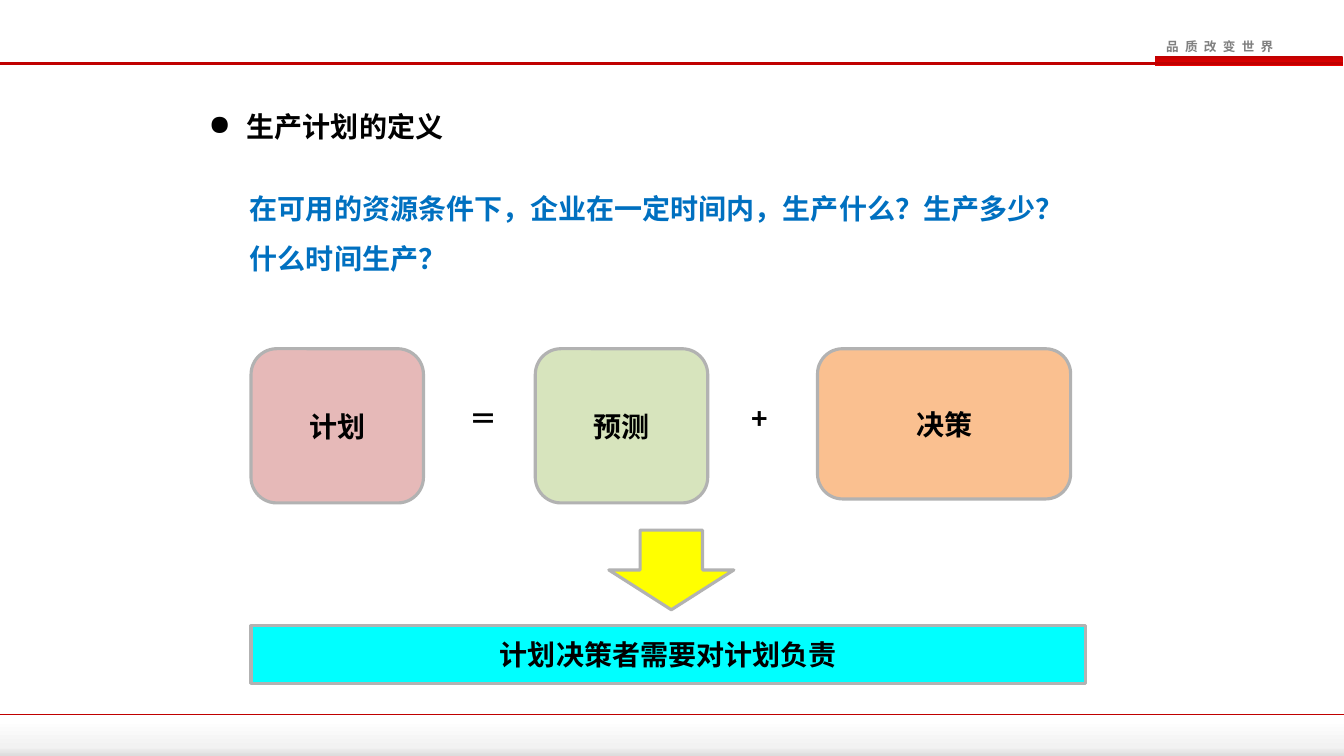
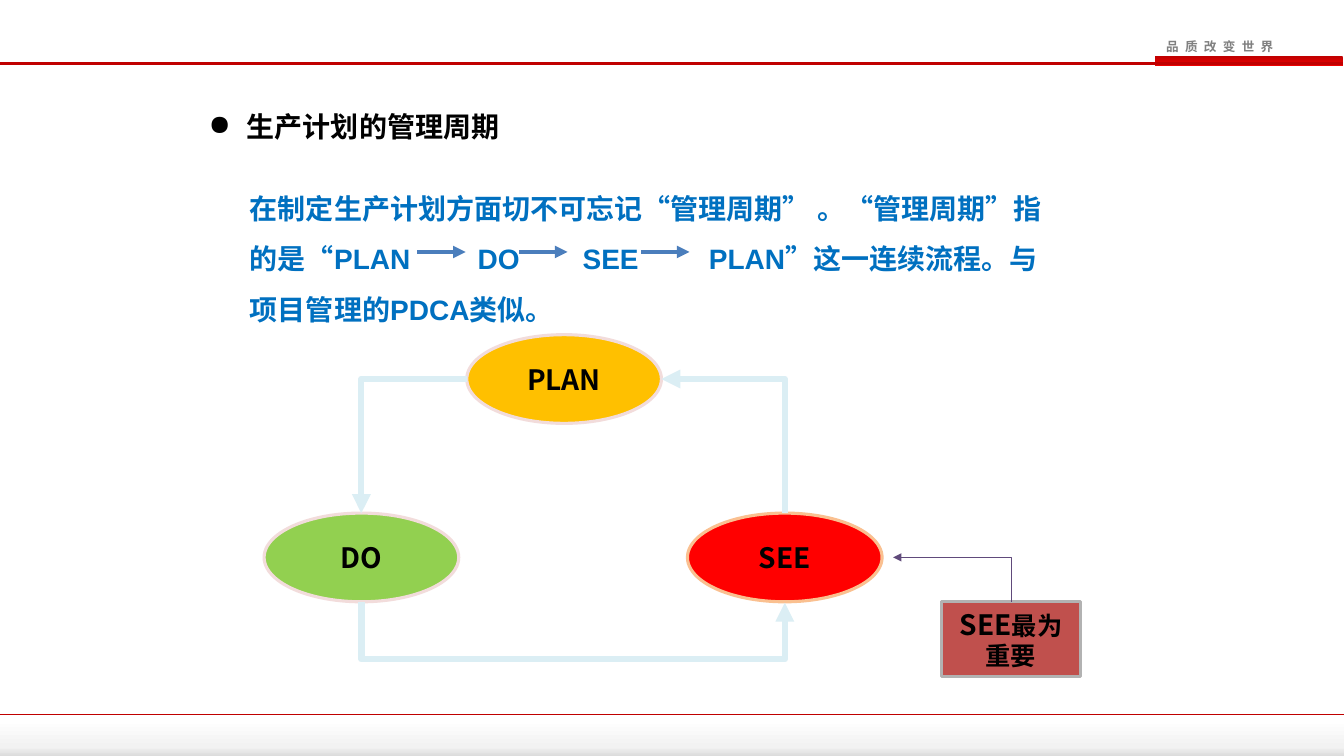
from dataclasses import dataclass

from lxml.etree import SubElement
from pptx import Presentation
from pptx.dml.color import RGBColor
from pptx.enum.shapes import MSO_CONNECTOR, MSO_SHAPE
from pptx.enum.text import MSO_ANCHOR, PP_ALIGN
from pptx.oxml.ns import qn
from pptx.shapes.autoshape import Shape
from pptx.shapes.connector import Connector
from pptx.slide import Slide
from pptx.text.text import _Paragraph as Paragraph
from pptx.util import Inches, Pt

SLIDE_WIDTH, SLIDE_HEIGHT = Inches(13.33), Inches(7.5)
LATIN_FONT, CHINESE_FONT = "Arial", "Noto Sans CJK SC"

# Colours
BLACK = RGBColor(0x00, 0x00, 0x00)
WHITE = RGBColor(0xFF, 0xFF, 0xFF)
PALE_GRAY = RGBColor(0xF2, 0xF2, 0xF2)
LIGHT_GRAY = RGBColor(0xDC, 0xDC, 0xDC)
BORDER_GRAY = RGBColor(0xB2, 0xB2, 0xB2)
TEXT_GRAY = RGBColor(0x80, 0x80, 0x80)
DARK_RED = RGBColor(0xC0, 0x00, 0x00)
BRIGHT_RED = RGBColor(0xEE, 0x00, 0x00)
BODY_BLUE = RGBColor(0x00, 0x70, 0xC0)
ARROW_BLUE = RGBColor(0x4B, 0x7E, 0xBC)
PALE_BLUE = RGBColor(0xDB, 0xEE, 0xF4)
PINK = RGBColor(0xE6, 0xB9, 0xB8)
PALE_PINK = RGBColor(0xF2, 0xDC, 0xDB)
PALE_GREEN = RGBColor(0xD7, 0xE4, 0xBD)
GREEN = RGBColor(0x92, 0xD0, 0x50)
ORANGE = RGBColor(0xFA, 0xC0, 0x90)
AMBER = RGBColor(0xFF, 0xC0, 0x00)
RED = RGBColor(0xFF, 0x00, 0x00)
BRICK = RGBColor(0xC0, 0x50, 0x4D)
CYAN = RGBColor(0x00, 0xFF, 0xFF)
YELLOW = RGBColor(0xFF, 0xFF, 0x00)
PURPLE = RGBColor(0x60, 0x4A, 0x7B)

# Connection sites
RECTANGLE_TOP = 0
ELLIPSE_TOP, ELLIPSE_LEFT, ELLIPSE_BOTTOM, ELLIPSE_RIGHT = 0, 2, 4, 6

Point = tuple[float, float]


@dataclass(frozen=True)
class Box:
    """A frame in percent of the slide's width and height."""
    left: float
    top: float
    width: float
    height: float

    @property
    def center_x(self) -> float:
        return self.left + self.width / 2

    @property
    def center_y(self) -> float:
        return self.top + self.height / 2

    @property
    def right(self) -> float:
        return self.left + self.width

    @property
    def bottom(self) -> float:
        return self.top + self.height

    def lengths(self) -> tuple[int, int, int, int]:
        return (across(self.left), down(self.top),
                across(self.width), down(self.height))


@dataclass(frozen=True)
class Block:
    """A filled, outlined preset shape with a centred label."""
    preset: MSO_SHAPE
    box: Box
    fill: RGBColor
    text: str = ""
    border: RGBColor = BORDER_GRAY


@dataclass(frozen=True)
class Anchor:
    """An end of an elbow: a point, and the site it is glued to."""
    point: Point
    shape: Shape | None = None
    site: int = 0


@dataclass(frozen=True)
class Elbow:
    start: Anchor
    end: Anchor
    vertical_first: bool = True
    color: RGBColor = PALE_BLUE
    weight: float = 4.5
    bend: int | None = None


def across(percent: float) -> int:
    return round(SLIDE_WIDTH * percent / 100)


def down(percent: float) -> int:
    return round(SLIDE_HEIGHT * percent / 100)


def style_paragraph(paragraph: Paragraph, size: float = 20, color: RGBColor = BLACK,
                    latin: str = CHINESE_FONT, spacing: int = 0) -> None:
    font = paragraph.font
    font.size, font.bold, font.name = Pt(size), True, latin
    font.color.rgb = color
    properties = paragraph._p.pPr.find(qn("a:defRPr"))
    SubElement(properties, qn("a:ea"), typeface=CHINESE_FONT)
    if spacing:
        properties.set("spc", str(spacing))


def add_text(slide: Slide, box: Box, text: str, wrap: bool = True) -> Shape:
    shape = slide.shapes.add_textbox(*box.lengths())
    shape.text_frame.word_wrap = wrap
    shape.text_frame.text = text
    return shape


def add_block(slide: Slide, block: Block) -> Shape:
    shape = slide.shapes.add_shape(block.preset, *block.box.lengths())
    shape.shadow.inherit = False
    shape.fill.solid()
    shape.fill.fore_color.rgb = block.fill
    shape.line.color.rgb = block.border
    shape.line.width = Pt(2.25)
    frame = shape.text_frame
    frame.word_wrap, frame.vertical_anchor = True, MSO_ANCHOR.MIDDLE
    if block.text:
        frame.text = block.text
        for paragraph in frame.paragraphs:
            paragraph.alignment = PP_ALIGN.CENTER
            style_paragraph(paragraph)
    return shape


def add_gradient_band(slide: Slide, box: Box, stops: list[tuple[int, RGBColor]]) -> None:
    band = slide.shapes.add_shape(MSO_SHAPE.RECTANGLE, *box.lengths())
    band.shadow.inherit = False
    band.line.fill.background()
    band.fill.gradient()
    band.fill.gradient_angle = 270
    stop_list = band._element.spPr.find(".//" + qn("a:gsLst"))
    stop_list.clear()
    for position, color in stops:
        stop = SubElement(stop_list, qn("a:gs"), pos=str(position * 1000))
        SubElement(stop, qn("a:srgbClr"), val=str(color))


def add_line(slide: Slide, start: Point, end: Point, color: RGBColor, weight: float,
             arrow: bool = False, kind: MSO_CONNECTOR = MSO_CONNECTOR.STRAIGHT) -> Connector:
    line = slide.shapes.add_connector(kind, across(start[0]), down(start[1]),
                                      across(end[0]), down(end[1]))
    line.line.color.rgb = color
    line.line.width = Pt(weight)
    properties = line._element.spPr
    if arrow:
        SubElement(properties.find(qn("a:ln")), qn("a:tailEnd"), type="triangle")
    SubElement(properties, qn("a:effectLst"))
    return line


def add_elbow(slide: Slide, elbow: Elbow) -> None:
    start, end = elbow.start.point, elbow.end.point
    if elbow.vertical_first:
        # A quarter turn about the centre swaps the two directions
        ratio = SLIDE_WIDTH / SLIDE_HEIGHT
        middle_x, middle_y = (start[0] + end[0]) / 2, (start[1] + end[1]) / 2
        half_x = (start[1] - end[1]) / ratio / 2
        half_y = (end[0] - start[0]) * ratio / 2
        start = (middle_x - half_x, middle_y - half_y)
        end = (middle_x + half_x, middle_y + half_y)
    connector = add_line(slide, start, end, elbow.color, elbow.weight, True,
                         MSO_CONNECTOR.ELBOW)
    properties = connector._element.spPr
    if elbow.vertical_first:
        properties.find(qn("a:xfrm")).set("rot", str(270 * 60000))
    geometry = properties.find(qn("a:prstGeom"))
    if elbow.bend is None:
        geometry.set("prst", "bentConnector2")
    else:
        SubElement(geometry.find(qn("a:avLst")), qn("a:gd"),
                   name="adj1", fmla=f"val {elbow.bend}")
    links = connector._element.find(".//" + qn("p:cNvCxnSpPr"))
    for tag, anchor in (("a:stCxn", elbow.start), ("a:endCxn", elbow.end)):
        if anchor.shape is not None:
            SubElement(links, qn(tag), id=str(anchor.shape.shape_id), idx=str(anchor.site))


def add_frame(presentation: Presentation) -> Slide:
    """Add a blank slide with the shared bands, rules and motto."""
    slide = presentation.slides.add_slide(presentation.slide_layouts[6])
    add_gradient_band(slide, Box(0, 95.2, 100, 4.8),
                      [(0, WHITE), (75, PALE_GRAY), (100, LIGHT_GRAY)])
    add_line(slide, (0, 94.53), (100, 94.53), DARK_RED, 1)
    add_gradient_band(slide, Box(85.95, 7.47, 13.95, 1.2),
                      [(0, DARK_RED), (100, BRIGHT_RED)])
    motto = add_text(slide, Box(86.03, 4.53, 10.2, 3.33), "品质改变世界", wrap=False)
    style_paragraph(motto.text_frame.paragraphs[0], 9, TEXT_GRAY, spacing=450)
    add_line(slide, (0, 8.4), (99.9, 8.4), DARK_RED, 1.5)
    return slide


def add_title(slide: Slide, text: str) -> None:
    title = add_text(slide, Box(14.78, 13.87, 68.03, 5.87), text)
    paragraph = title.text_frame.paragraphs[0]
    properties = paragraph._p.get_or_add_pPr()
    properties.set("marL", str(Inches(0.38)))
    properties.set("indent", str(-Inches(0.38)))
    SubElement(properties, qn("a:buChar"), char="●")
    style_paragraph(paragraph)


def add_body(slide: Slide, text: str, height: float, tabs: tuple[float, ...] = ()) -> None:
    body = add_text(slide, Box(18.15, 22.67, 61.58, height), text)
    frame = body.text_frame
    frame.margin_left = frame.margin_right = Inches(0.06)
    frame.margin_top = frame.margin_bottom = Inches(0.03)
    paragraph = frame.paragraphs[0]
    paragraph.line_spacing = 1.5
    if tabs:
        tab_list = SubElement(paragraph._p.get_or_add_pPr(), qn("a:tabLst"))
        for position in tabs:
            SubElement(tab_list, qn("a:tab"), pos=str(across(position)), algn="l")
    style_paragraph(paragraph, color=BODY_BLUE, latin=LATIN_FONT)


def build_definition(presentation: Presentation) -> None:
    slide = add_frame(presentation)
    add_body(slide, "在可用的资源条件下，企业在一定时间内，生产什么？生产多少？什么时间生产？", 13.47)
    add_title(slide, "生产计划的定义")

    # Equation: plan = forecast + decision
    rounded = MSO_SHAPE.ROUNDED_RECTANGLE
    for block in (
        Block(rounded, Box(18.68, 46.13, 12.83, 20.4), PINK, "计划"),
        Block(rounded, Box(39.83, 46.13, 12.83, 20.4), PALE_GREEN, "预测"),
        Block(rounded, Box(60.83, 46.13, 18.83, 19.87), ORANGE, "决策"),
        Block(MSO_SHAPE.RECTANGLE, Box(18.68, 82.8, 62.1, 7.6), CYAN, "计划决策者需要对计划负责"),
        Block(MSO_SHAPE.DOWN_ARROW, Box(45.3, 70.13, 9.3, 10.53), YELLOW),
    ):
        add_block(slide, block)
    for left, sign in ((34.2, "＝"), (55.2, "+")):
        operator = add_text(slide, Box(left, 52.4, 4.65, 5.87), sign)
        style_paragraph(operator.text_frame.paragraphs[0])


def build_cycle(presentation: Presentation) -> None:
    slide = add_frame(presentation)
    add_body(slide, "在制定生产计划方面切不可忘记“管理周期” 。“管理周期”指的是“PLAN\tDO\tSEE\tPLAN”"
             "这一连续流程。与项目管理的PDCA类似。", 20.93, tabs=(16.95, 24.75, 34.15))
    add_title(slide, "生产计划的管理周期")
    for left in (31.05, 38.63, 47.7):
        add_line(slide, (left, 33.33), (left + 3.6, 33.33), ARROW_BLUE, 3, arrow=True)

    # Stages of the cycle
    plan_box, do_box, see_box = (Box(left, top, 14.48, 11.73) for left, top in
                                 ((34.73, 44.27), (19.65, 67.87), (51.15, 67.87)))
    note_box = Box(70.05, 79.6, 10.35, 9.87)
    plan, do, see, note = (add_block(slide, block) for block in (
        Block(MSO_SHAPE.OVAL, plan_box, AMBER, "PLAN", PALE_PINK),
        Block(MSO_SHAPE.OVAL, do_box, GREEN, "DO", PALE_PINK),
        Block(MSO_SHAPE.OVAL, see_box, RED, "SEE", ORANGE),
        Block(MSO_SHAPE.RECTANGLE, note_box, BRICK, "SEE\n重要"),
    ))
    first_line, second_line = note.text_frame.paragraphs
    smaller_run = first_line.add_run()
    smaller_run.text = "最为"
    smaller_run.font.size = second_line.font.size = Pt(18)

    # Links between the stages
    for elbow in (
        Elbow(Anchor((note_box.center_x, note_box.top), note, RECTANGLE_TOP),
              Anchor((66.45, see_box.center_y)), color=PURPLE, weight=0.75),
        Elbow(Anchor((see_box.center_x, see_box.top), see, ELLIPSE_TOP),
              Anchor((plan_box.right, plan_box.center_y), plan, ELLIPSE_RIGHT)),
        Elbow(Anchor((plan_box.left, plan_box.center_y), plan, ELLIPSE_LEFT),
              Anchor((do_box.center_x, do_box.top), do, ELLIPSE_TOP), vertical_first=False),
        Elbow(Anchor((do_box.center_x, do_box.bottom), do, ELLIPSE_BOTTOM),
              Anchor((see_box.center_x, see_box.bottom + 0.13), see, ELLIPSE_BOTTOM),
              bend=5800000),
    ):
        add_elbow(slide, elbow)


def main() -> None:
    presentation = Presentation()
    presentation.slide_width, presentation.slide_height = SLIDE_WIDTH, SLIDE_HEIGHT
    build_definition(presentation)
    build_cycle(presentation)
    presentation.save("out.pptx")


if __name__ == "__main__":
    main()
